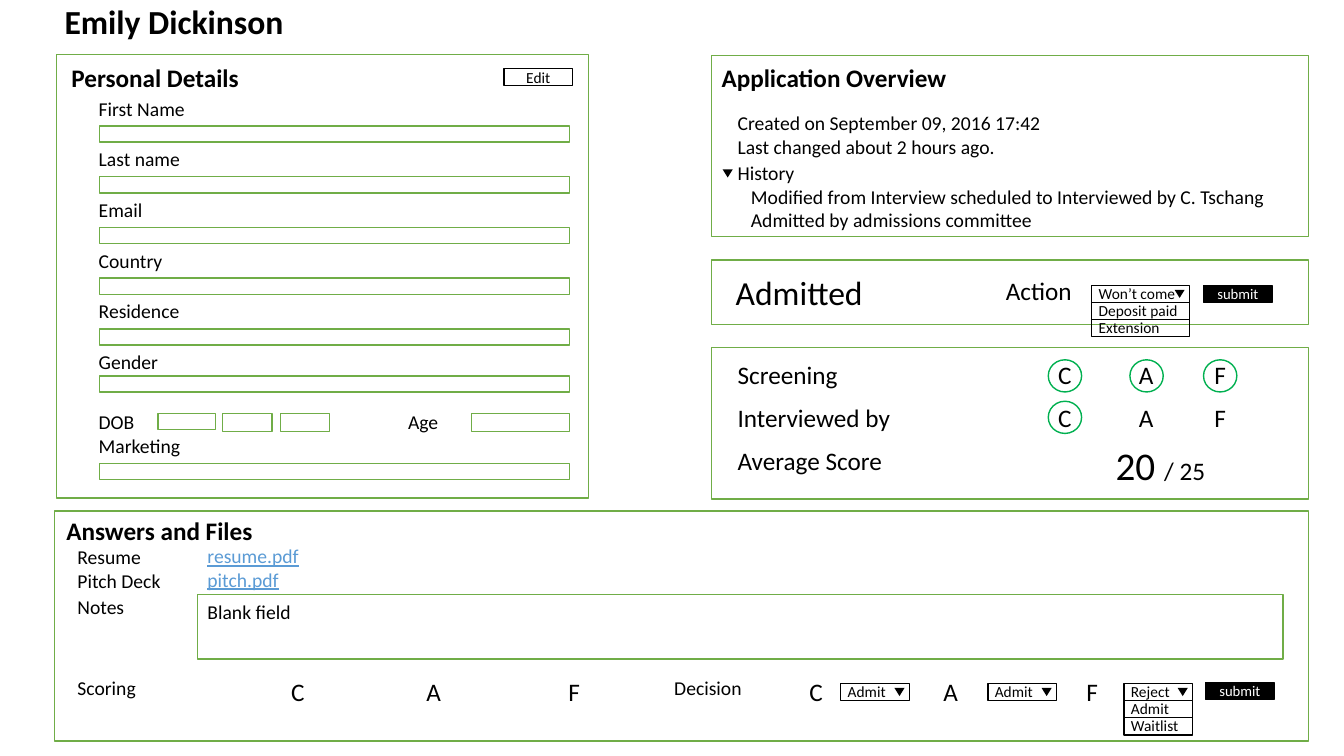
"""Build the applicant review form slide."""
import pptx
import pptx.util
import pptx.dml.color
import pptx.enum.shapes
import pptx.enum.text

Pt = pptx.util.Pt
SHAPE = pptx.enum.shapes.MSO_SHAPE
ALIGN = pptx.enum.text.PP_ALIGN
ANCHOR = pptx.enum.text.MSO_ANCHOR
COLOURS = {"black": "000000", "white": "FFFFFF", "frame": "70AD47",
           "ring": "00B050", "link": "5B9BD5"}

deck = pptx.Presentation()
deck.slide_width, deck.slide_height = Pt(960), Pt(540)
page = deck.slides.add_slide(deck.slide_layouts[5])


def draw(kind, left, top, width, height, line, fill=None):
    shape = page.shapes.add_shape(kind, Pt(left), Pt(top), Pt(width), Pt(height))
    shape.shadow.inherit = False
    if fill:
        shape.fill.solid()
        shape.fill.fore_color.rgb = pptx.dml.color.RGBColor.from_string(COLOURS[fill])
    else:
        shape.fill.background()
    if line:
        shape.line.color.rgb = pptx.dml.color.RGBColor.from_string(COLOURS[line])
        shape.line.width = Pt(1)
    else:
        shape.line.fill.background()
    return shape


def write(para, text, size, colour="black", bold=False):
    span = para.add_run()
    span.text = text
    span.font.name = "Calibri"
    span.font.size = Pt(size)
    span.font.bold = bold
    span.font.underline = colour == "link"
    span.font.color.rgb = pptx.dml.color.RGBColor.from_string(COLOURS[colour])


title = page.shapes.title
title.left, title.top, title.width, title.height = Pt(38.9), Pt(-2.9), Pt(200), Pt(36)
title.text_frame.auto_size = pptx.enum.text.MSO_AUTO_SIZE.NONE
title.text_frame.vertical_anchor = ANCHOR.TOP
title.text_frame.paragraphs[0].alignment = ALIGN.LEFT
write(title.text_frame.paragraphs[0], "Emily Dickinson", 24, bold=True)

panels = [
    (40.3, 38.9, 380.2, 316.8),
    (508.3, 39.6, 426.2, 129.6),
    (508.3, 185.8, 426.2, 46.1),
    (508.3, 248.4, 426.2, 108),
    (38.9, 365, 895.7, 164.2),
]
for panel in panels:
    draw(SHAPE.RECTANGLE, *panel, "frame")

notes = draw(SHAPE.RECTANGLE, 141.1, 424.8, 775.4, 46.1, "frame")
notes.text_frame.vertical_anchor = ANCHOR.TOP
notes.text_frame.paragraphs[0].alignment = ALIGN.LEFT
write(notes.text_frame.paragraphs[0], "Blank field", 14)

labels = [
    ("Created on September 09, 2016 17:42", 519.8, 75.6, 290, 14),
    ("Last changed about 2 hours ago.", 519.8, 92.9, 290, 14),
    ("Admitted", 518.4, 190.8, 120, 24),
    ("Action", 711.4, 193, 62, 18),
    ("Screening", 519.8, 253.4, 129, 18),
    ("Interviewed by", 519.8, 283.7, 129, 18),
    ("Average Score", 519.8, 314.6, 129, 18),
    ("DOB", 63.4, 289.4, 50, 14),
    ("Age", 284.4, 289.4, 45, 14),
    ("Resume", 48.2, 385.9, 85, 14),
    ("Pitch Deck", 48.2, 402.5, 85, 14),
    ("Notes", 48.2, 421.2, 85, 14),
    ("Scoring", 48.2, 479.5, 85, 14),
    ("Decision", 474.5, 479.5, 96, 14),
    ("resume.pdf", 141.1, 385.2, 91, 14, "link"),
    ("pitch.pdf", 141.1, 401.8, 91, 14, "link"),
    ("Personal Details", 43.9, 41, 200, 18, "black", True),
    ("Application Overview", 508.3, 41, 220, 18, "black", True),
    ("Answers and Files", 40.3, 364.3, 200, 18, "black", True),
]

field_names = ["First Name", "Last name", "Email", "Country", "Residence"]
fields = [(name, 65.5 + 36.2 * row, 90.1 + 36.2 * row)
          for row, name in enumerate(field_names)]
fields += [("Gender", 246.2, 268.6), ("Marketing", 306.7, 331.2)]
for name, label_top, field_top in fields:
    draw(SHAPE.RECTANGLE, 71.3, field_top, 335.5, 11.5, "frame", "white")
    labels.append((name, 63.4, label_top, 90, 14))

for left, width, height in [(113, 41, 11.5), (159.1, 35.3, 13),
                            (200.2, 35.3, 13), (337, 69.8, 13)]:
    draw(SHAPE.RECTANGLE, left, 295.2, width, height, "frame", "white")

for left, top in [(748.8, 257), (807.1, 257), (859.7, 257), (748.8, 286.6)]:
    draw(SHAPE.OVAL, left, top, 23.8, 23, "ring", "white")

letter_rows = [
    (253.4, (748.8, 806.4, 860.4)),
    (283.7, (748.8, 806.4, 860.4)),
    (479.5, (200.9, 297.4, 398.9)),
    (479.5, (571, 666.7, 769)),
]
for top, lefts in letter_rows:
    for letter, left in zip("CAF", lefts):
        labels.append((letter, left, top, 30, 18))

dropdowns = [
    (779.8, 203.8, 69.8, ["Won’t come", "Deposit paid", "Extension"]),
    (600.5, 488.2, 49, ["Admit"]),
    (705.6, 488.2, 49, ["Admit"]),
    (802.8, 488.2, 49, ["Reject", "Admit", "Waitlist"]),
]
arrows = [(516.2, 121)]
for left, top, width, options in dropdowns:
    arrows.append((left + width - 10.6, top + 3.2))
    for row, option in enumerate(options):
        row_top = top + 12.24 * row
        draw(SHAPE.RECTANGLE, left, row_top, width, 12.24, "black")
        labels.append((option, left - 2.1, row_top - 4.6, width + 5, 11))
for left, top in arrows:
    arrow = draw(SHAPE.ISOSCELES_TRIANGLE, left, top, 7.2, 5.8, None, "black")
    arrow.rotation = 180

buttons = [
    ("Edit", 360, 49, 11, None, "black"),
    ("submit", 859.7, 203.8, 10.5, "black", "white"),
    ("submit", 861.1, 487.4, 10.5, "black", "white"),
]
for caption, left, top, size, fill, colour in buttons:
    button = draw(SHAPE.RECTANGLE, left, top, 49, 12.24, "black", fill)
    frame = button.text_frame
    frame.margin_top = frame.margin_bottom = 0
    frame.vertical_anchor = ANCHOR.MIDDLE
    frame.paragraphs[0].alignment = ALIGN.CENTER
    write(frame.paragraphs[0], caption, size, colour)

for text, left, top, width, size, *style in labels:
    box = page.shapes.add_textbox(Pt(left), Pt(top), Pt(width), Pt(size * 1.2 + 7.2))
    box.text_frame.word_wrap = True
    write(box.text_frame.paragraphs[0], text, size, *style)

history = page.shapes.add_textbox(Pt(519.8), Pt(111.6), Pt(411), Pt(58.3))
history.text_frame.word_wrap = True
write(history.text_frame.paragraphs[0], "History", 14)
for event in ["Modified from Interview scheduled to Interviewed by C. Tschang",
              "Admitted by admissions committee"]:
    para = history.text_frame.add_paragraph()
    para._p.get_or_add_pPr().set("marL", str(Pt(9.5)))
    write(para, event, 14)

score = page.shapes.add_textbox(Pt(789.8), Pt(311.8), Pt(129), Pt(41))
score.text_frame.word_wrap = True
write(score.text_frame.paragraphs[0], "20 ", 28)
write(score.text_frame.paragraphs[0], "/ 25", 18)

deck.save("out.pptx")
